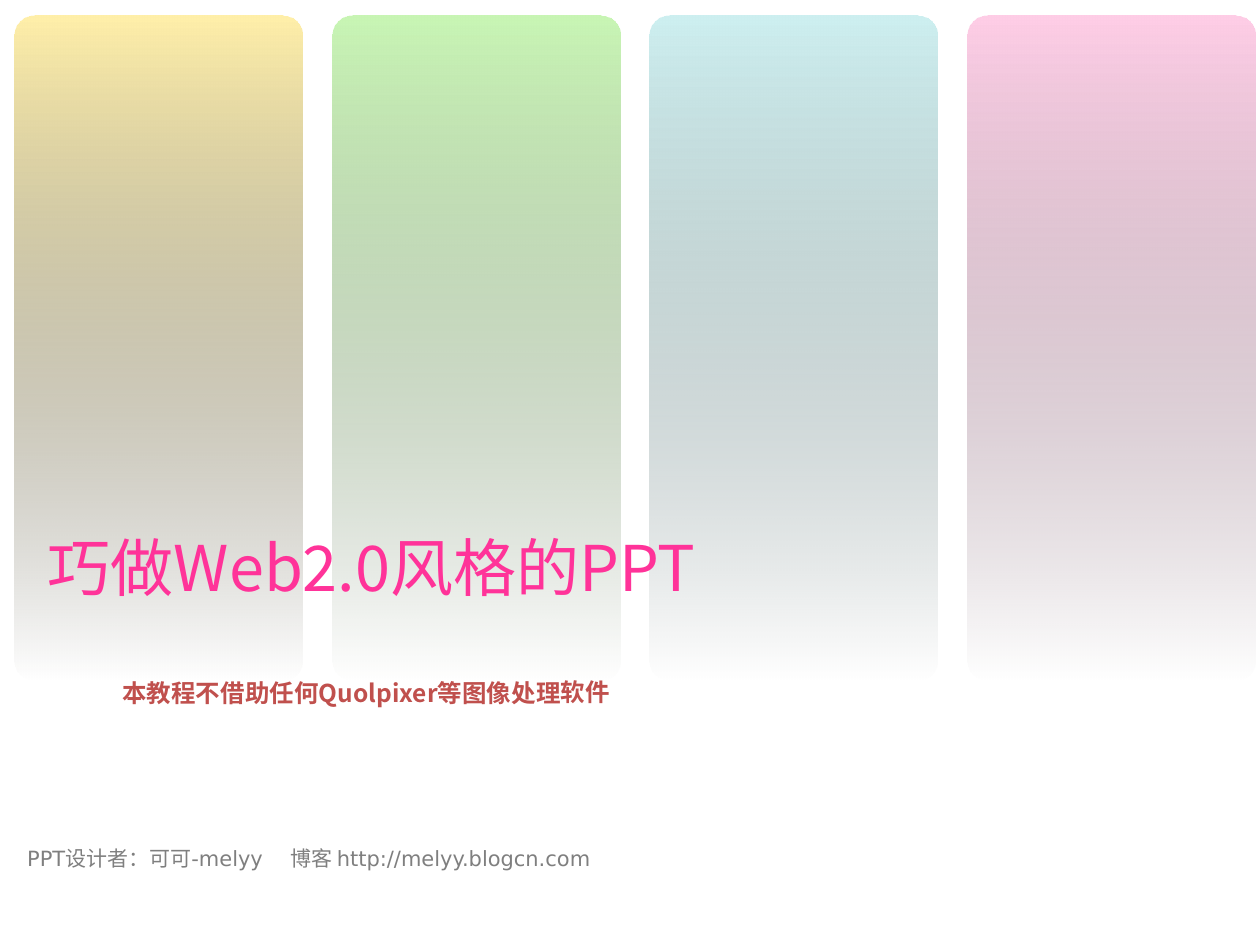
from dataclasses import dataclass

from lxml.etree import SubElement
from pptx import Presentation
from pptx.dml.color import RGBColor
from pptx.enum.shapes import MSO_SHAPE
from pptx.enum.text import MSO_ANCHOR, MSO_AUTO_SIZE, PP_ALIGN
from pptx.oxml.ns import qn
from pptx.util import Cm, Pt


@dataclass(frozen=True)
class Theme:
    title: str = "FF3399"
    sub: str = "C0504D"
    credit: str = "7F7F7F"
    bars: tuple = (("FFEFA9", "333022"), ("C8F5B4", "5C7053"),
                   ("CDEFF0", "5E6E6E"), ("FECDE6", "755E6A"))
    sans: str = "DejaVu Sans"
    cjk: str = "Noto Sans CJK JP"
    big: int = 36
    mid: int = 14
    small: int = 12


theme = Theme()


def write(box, text, size, color, face, align=PP_ALIGN.LEFT, bold=False):
    """Fill a box with one styled paragraph."""
    frame = box.text_frame
    frame.text = text
    frame.word_wrap = True
    frame.auto_size = MSO_AUTO_SIZE.NONE
    frame.vertical_anchor = MSO_ANCHOR.TOP
    para = frame.paragraphs[0]
    para.alignment = align
    for run in para.runs:
        font = run.font
        font.size, font.bold, font.name = Pt(size), bold, face
        font.color.rgb = RGBColor.from_string(color)
        SubElement(run._r.get_or_add_rPr(), qn("a:ea"), typeface=theme.cjk)
    return para


deck = Presentation()
deck.slide_width, deck.slide_height = Cm(25.4), Cm(19.05)
slide = deck.slides.add_slide(deck.slide_layouts[5])
shapes = slide.shapes

# Credit line, with a tab stop before the blog address
credit = shapes.add_textbox(Cm(0.3), Cm(16.92), Cm(23.2), Cm(0.77))
para = write(credit, "PPT设计者：可可-melyy\t博客 http://melyy.blogcn.com",
             theme.small, theme.credit, theme.sans)
tabs = SubElement(para._p.get_or_add_pPr(), qn("a:tabLst"))
SubElement(tabs, qn("a:tab"), pos=str(Cm(5.3)), algn="l")

# Four bars that fade out downwards
wide, step = 5.8, 6.4
for i, (top, foot) in enumerate(theme.bars):
    bar = shapes.add_shape(MSO_SHAPE.ROUNDED_RECTANGLE, Cm(0.3 + i * step),
                           Cm(0.32), Cm(wide), Cm(13.4))
    bar.adjustments[0] = 0.07
    bar.shadow.inherit = False
    bar.line.fill.background()
    bar.fill.gradient()
    bar.fill.gradient_angle = 270
    for stop, color, place in zip(bar.fill.gradient_stops, (top, foot), (0, 1)):
        stop.color.rgb = RGBColor.from_string(color)
        stop.position = place
    last = bar._element.spPr.findall(".//" + qn("a:srgbClr"))[-1]
    SubElement(last, qn("a:alpha"), val="0")

# Title, brought in front of the bars
title = shapes.title
title.left, title.top, title.width, title.height = (
    Cm(0.71), Cm(10.52), Cm(14.4), Cm(1.78))
write(title, "巧做Web2.0风格的PPT", theme.big, theme.title, theme.cjk)
shapes._spTree.append(title._element)

sub = shapes.add_textbox(Cm(0.89), Cm(13.54), Cm(12.98), Cm(0.86))
sub.rotation = 359.9
write(sub, "本教程不借助任何Quolpixer等图像处理软件", theme.mid, theme.sub,
      theme.cjk, PP_ALIGN.CENTER, True)

deck.save("out.pptx")
